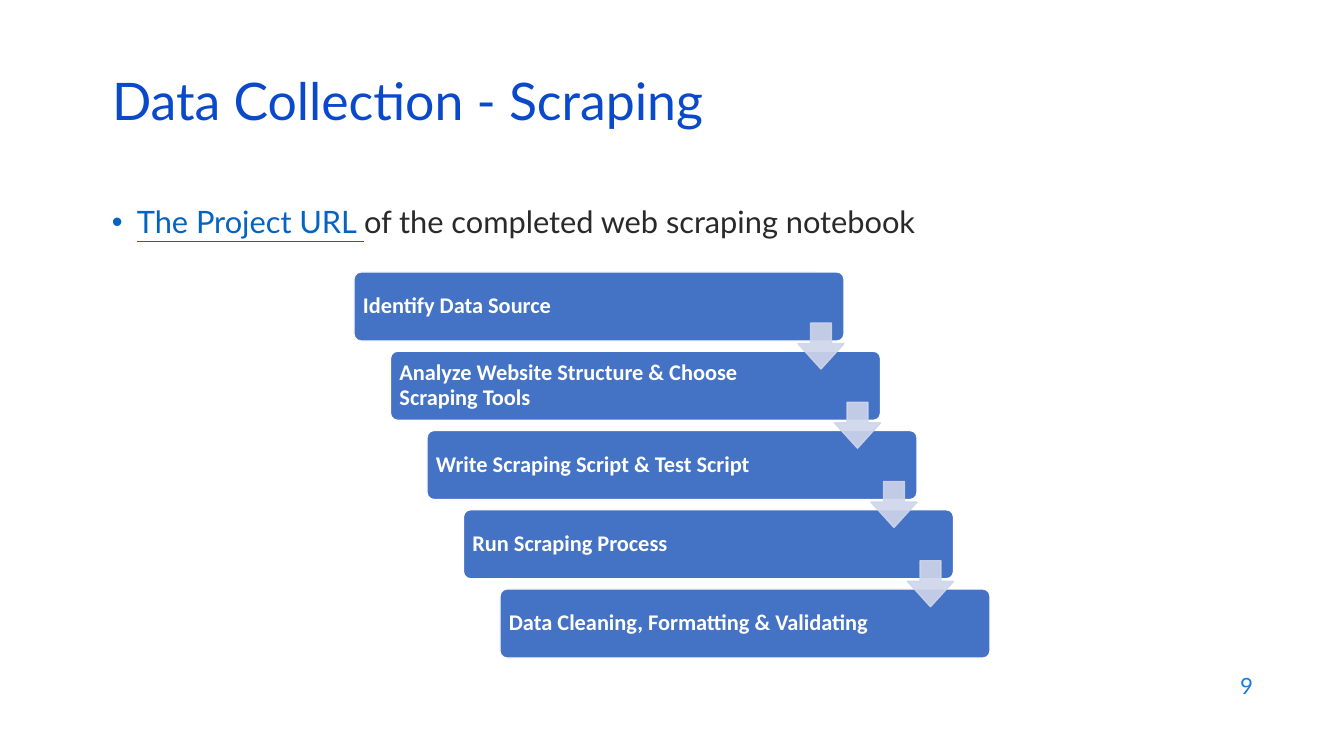
from lxml import etree
from pptx import Presentation
from pptx.dml.color import RGBColor
from pptx.enum.shapes import MSO_SHAPE
from pptx.enum.text import MSO_ANCHOR, MSO_AUTO_SIZE, PP_ALIGN
from pptx.oxml.ns import qn
from pptx.util import Emu, Pt

ROUNDED, DOWN_ARROW = MSO_SHAPE.ROUNDED_RECTANGLE, MSO_SHAPE.DOWN_ARROW
TOP, MIDDLE = MSO_ANCHOR.TOP, MSO_ANCHOR.MIDDLE
LEFT, RIGHT = PP_ALIGN.LEFT, PP_ALIGN.RIGHT

HEADING = "Data Collection - Scraping"
LINK_TEXT = "The Project URL "
LINK_REST = "of the completed web scraping notebook"
PAGE = "9"
STEPS = [
    "Identify Data Source",
    "Analyze Website Structure & Choose Scraping Tools",
    "Write Scraping Script & Test Script",
    "Run Scraping Process",
    "Data Cleaning, Formatting & Validating",
]

COLORS = {
    "title": "0B49CB", "link": "0563C1", "body": "292929", "page": "1C7DDB",
    "step": "4472C4", "arrow": "CFD5EA", "white": "FFFFFF",
}
FORMATS = {
    "title": {"name": "Lato", "size": Pt(37), "bold": False},
    "link": {"name": "Lato", "size": Pt(22), "underline": True},
    "body": {"name": "Lato", "size": Pt(22), "underline": False},
    "page": {"name": "Lato", "size": Pt(16)},
    "white": {"name": "Calibri", "size": Pt(16), "bold": True},
}

SLIDE_W, SLIDE_H = 1344, 756
TITLE_BOX = (102, 77, 1159, 60)
BODY_BOX = (102, 198, 989, 420)
PAGE_BOX = (961, 664, 302, 44)
FIRST_STEP = (354, 272, 490, 69)
FIRST_ARROW = (798, 323, 46, 46)
STAIRS_W, STAIRS_H = 146, 317
BULLET_INDENT = 25
STEP_INSETS = {"margin_left": 7, "margin_right": 89, "margin_top": 7, "margin_bottom": 7}


def px(length):
    return Emu(round(length * 12192000 / SLIDE_W))


def place(box):
    return [px(length) for length in box]


def stair(box, index):
    left, top, width, height = box
    last = len(STEPS) - 1
    return place((left + STAIRS_W * index / last, top + STAIRS_H * index / last, width, height))


def write(paragraph, text, style):
    run = paragraph.add_run()
    run.text = text
    for key, value in FORMATS[style].items():
        setattr(run.font, key, value)
    run.font.color.rgb = RGBColor.from_string(COLORS[style])


def prepare(frame, anchor, align):
    frame.word_wrap = True
    frame.auto_size = MSO_AUTO_SIZE.NONE
    frame.vertical_anchor = anchor
    paragraph = frame.paragraphs[0]
    paragraph.alignment = align
    return paragraph


def add_stair(group, kind, box, index, color, line, adjustments):
    shape = group.shapes.add_shape(kind, *stair(box, index))
    shape.shadow.inherit = False
    shape.fill.solid()
    shape.fill.fore_color.rgb = RGBColor.from_string(COLORS[color])
    shape.line.color.rgb = RGBColor.from_string(COLORS[line])
    shape.line.width = Pt(1)
    for position, value in enumerate(adjustments):
        shape.adjustments[position] = value
    return shape


def main():
    deck = Presentation()
    deck.slide_width, deck.slide_height = px(SLIDE_W), px(SLIDE_H)
    slide = deck.slides.add_slide(deck.slide_layouts[5])

    title = slide.shapes.title
    title.left, title.top, title.width, title.height = place(TITLE_BOX)
    heading = prepare(title.text_frame, MIDDLE, LEFT)
    heading.line_spacing = 0.7
    write(heading, HEADING, "title")

    body = slide.shapes.add_textbox(*place(BODY_BOX))
    bullet = prepare(body.text_frame, TOP, LEFT)
    properties = bullet._p.get_or_add_pPr()
    properties.set("marL", str(px(BULLET_INDENT)))
    properties.set("indent", str(-px(BULLET_INDENT)))
    etree.SubElement(properties, qn("a:buFont"), typeface="Arial")
    etree.SubElement(properties, qn("a:buChar"), char="•")
    write(bullet, LINK_TEXT, "link")
    write(bullet, LINK_REST, "body")

    page = slide.shapes.add_textbox(*place(PAGE_BOX))
    write(prepare(page.text_frame, MIDDLE, RIGHT), PAGE, "page")

    stairs = slide.shapes.add_group_shape()
    for index, label in enumerate(STEPS):
        step = add_stair(stairs, ROUNDED, FIRST_STEP, index, "step", "white", [0.1])
        for side, inset in STEP_INSETS.items():
            setattr(step.text_frame, side, px(inset))
        paragraph = prepare(step.text_frame, MIDDLE, LEFT)
        paragraph.line_spacing = 0.9
        write(paragraph, label, "white")

    for index in range(len(STEPS) - 1):
        arrow = add_stair(stairs, DOWN_ARROW, FIRST_ARROW, index, "arrow", "arrow", [0.45, 0.55])
        for color in arrow._element.spPr.iter(qn("a:srgbClr")):
            etree.SubElement(color, qn("a:alpha"), val="90000")

    deck.save("out.pptx")


if __name__ == "__main__":
    main()
